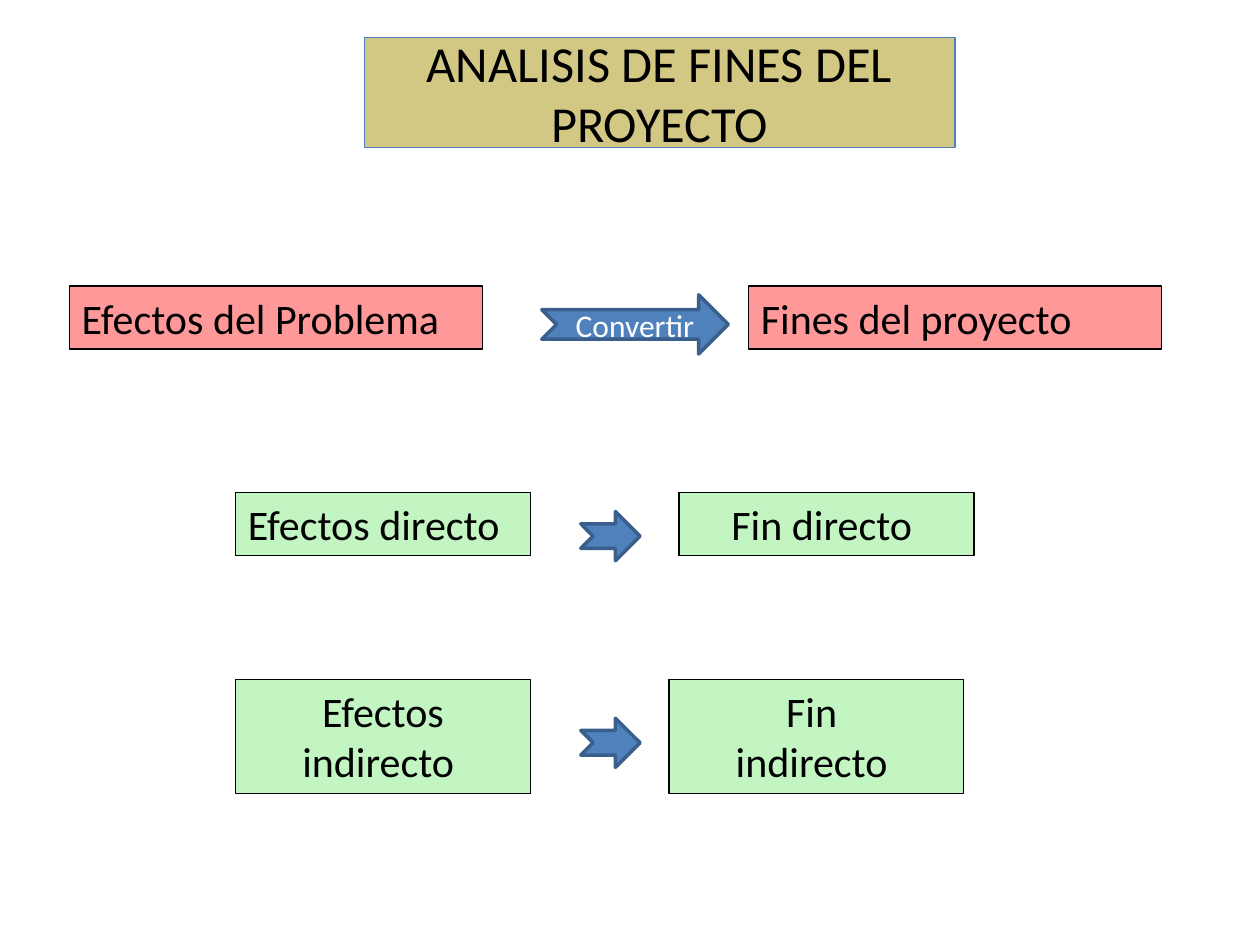
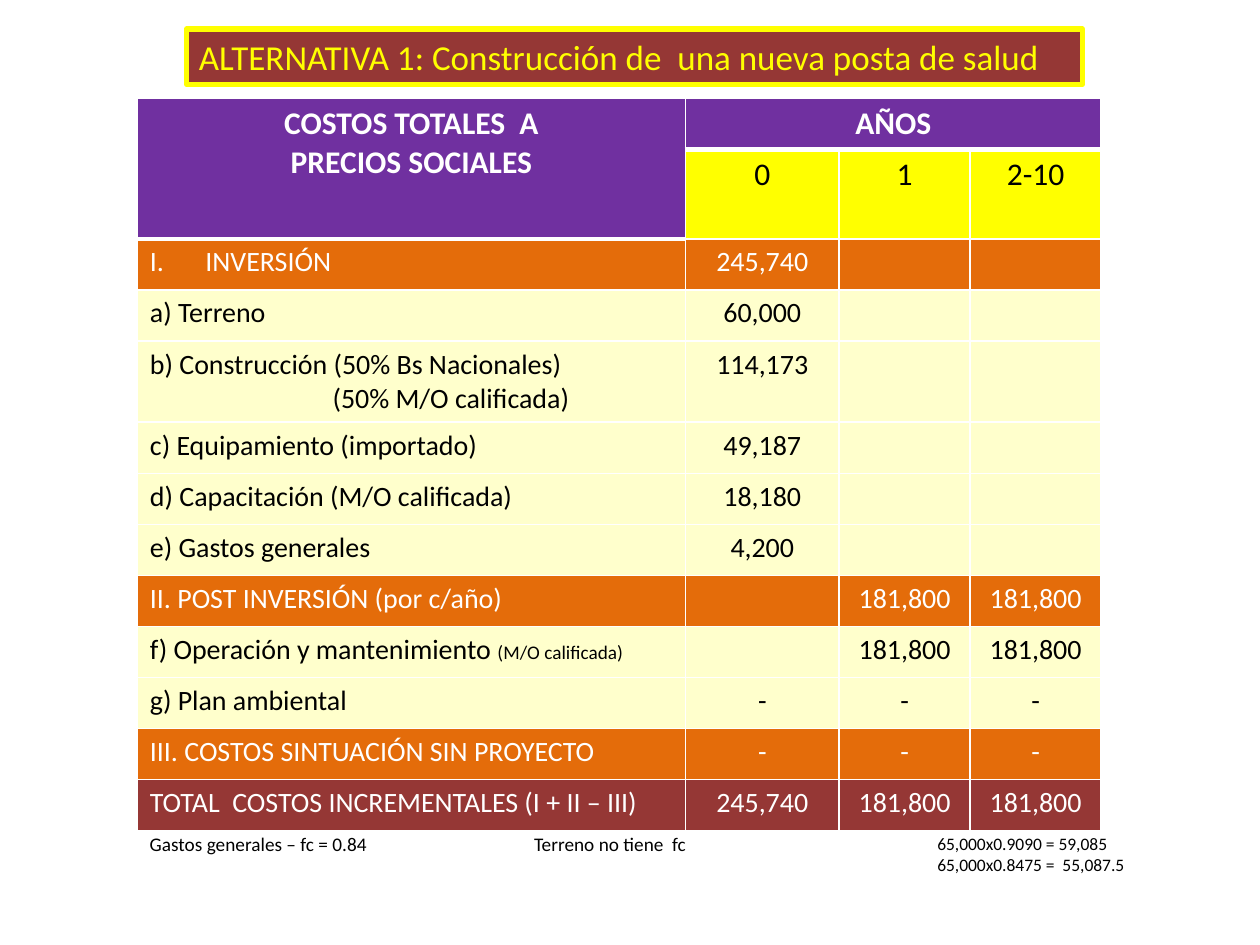
import typing
import pptx
import pptx.dml.color
import pptx.enum.shapes
import pptx.enum.text
import pptx.oxml
import pptx.oxml.ns
import pptx.util

WIDTH, HEIGHT = pptx.util.Inches(10), pptx.util.Inches(7.5)
COLS, ROWS = 100, 75
FONT = "Calibri"
BLACK, WHITE, YELLOW = "000000", "FFFFFF", "FFFF00"
SAND, BLUE, NAVY = "D3C883", "4F81BD", "3A5F8C"
PINK, GREEN = "FF9999", "C3F5C3"
PURPLE, ORANGE, CREAM, WINE = "7030A0", "E46C0A", "FFFFCC", "953735"

SHAPE = pptx.enum.shapes.MSO_SHAPE
ALIGN = pptx.enum.text.PP_ALIGN
ANCHOR = pptx.enum.text.MSO_ANCHOR
LEFT, MID = ALIGN.LEFT, ALIGN.CENTER


class Area(typing.NamedTuple):
    col: float
    row: float
    wide: float
    high: float


class Box(typing.NamedTuple):
    area: Area
    text: str = ""
    fill: str = ""
    line: str = BLACK
    weight: float = 0.75
    size: float = 24
    color: str = BLACK
    align: ALIGN = LEFT
    anchor: ANCHOR = ANCHOR.TOP
    kind: SHAPE = SHAPE.RECTANGLE


class Row(typing.NamedTuple):
    label: str
    costs: tuple
    fill: str = CREAM
    color: str = BLACK
    small: str = ""


def across(cols: float) -> int:
    return round(WIDTH * cols / COLS)


def down(rows: float) -> int:
    return round(HEIGHT * rows / ROWS)


def place(area: Area) -> tuple:
    return across(area.col), down(area.row), across(area.wide), down(area.high)


def paint(code: str) -> pptx.dml.color.RGBColor:
    return pptx.dml.color.RGBColor.from_string(code)


def write(frame, text: str, *, size: float = 16, color: str = BLACK,
          bold: bool = False, align=LEFT, more: bool = False) -> None:
    for i, line in enumerate(text.split("\n")):
        if more or i == 0:
            para = frame.paragraphs[-1]
        else:
            para = frame.add_paragraph()
        para.alignment = align
        run = para.add_run()
        run.text = line
        font = run.font
        font.name, font.size, font.bold = FONT, pptx.util.Pt(size), bold
        font.color.rgb = paint(color)


def draw(slide, box: Box) -> None:
    if box.fill:
        shape = slide.shapes.add_shape(box.kind, *place(box.area))
        shape.shadow.inherit = False
        shape.fill.solid()
        shape.fill.fore_color.rgb = paint(box.fill)
        shape.line.color.rgb = paint(box.line)
        shape.line.width = pptx.util.Pt(box.weight)
    else:
        shape = slide.shapes.add_textbox(*place(box.area))
    frame = shape.text_frame
    frame.word_wrap = True
    frame.vertical_anchor = box.anchor
    if box.text:
        write(frame, box.text, size=box.size, color=box.color, align=box.align)


def arrow(area: Area, text: str = "") -> Box:
    return Box(area, text, BLUE, NAVY, 2, 18, WHITE, MID, ANCHOR.MIDDLE,
               SHAPE.NOTCHED_RIGHT_ARROW)


def edge(cell, base: float = 1) -> None:
    props = cell._tc.get_or_add_tcPr()
    space = pptx.oxml.ns.nsdecls("a")
    for i, side in enumerate("LRTB"):
        width = pptx.util.Pt(base if side == "B" else 1)
        props.insert(i, pptx.oxml.parse_xml(
            f'<a:ln{side} {space} w="{width}"><a:solidFill>'
            f'<a:srgbClr val="{WHITE}"/></a:solidFill></a:ln{side}>'))


def tint(cell, fill: str, base: float = 1) -> None:
    cell.fill.solid()
    cell.fill.fore_color.rgb = paint(fill)
    edge(cell, base)


def indent(para, left: float, first: float = 0, mark: str = "") -> None:
    props = para._p.get_or_add_pPr()
    props.set("marL", str(across(left)))
    props.set("indent", str(across(first)))
    if mark:
        space = pptx.oxml.ns.nsdecls("a")
        props.append(pptx.oxml.parse_xml(f'<a:buAutoNum {space} type="{mark}"/>'))


TOP, PAIR, LAST = 22.7, 39.1, 53.9
FINES = [
    Box(Area(28.9, 3, 46.9, 8.7), "ANALISIS DE FINES DEL PROYECTO", SAND, BLUE,
        size=28.8, align=MID, anchor=ANCHOR.MIDDLE),
    Box(Area(5.5, TOP, 32.8, 5), "Efectos del Problema", PINK),
    Box(Area(59.4, TOP, 32.8, 5), "Fines del proyecto", PINK),
    arrow(Area(43, 23.4, 14.8, 4.7), "Convertir"),
    Box(Area(18.7, PAIR, 23.4, 5), "Efectos directo", GREEN),
    Box(Area(53.9, PAIR, 23.4, 5), "Fin directo ", GREEN, align=MID),
    arrow(Area(46.1, 40.6, 4.7, 3.9)),
    Box(Area(18.7, LAST, 23.4, 9.1), "Efectos indirecto ", GREEN, align=MID),
    Box(Area(53.1, LAST, 23.4, 9.1), "Fin \nindirecto ", GREEN, align=MID),
    arrow(Area(46.1, 57, 4.7, 3.9)),
]

NOTES = [
    Box(Area(14.8, 2.3, 71.1, 4.4),
        "ALTERNATIVA 1: Construcción de  una nueva posta de salud",
        WINE, YELLOW, 3, 20, YELLOW),
    Box(Area(10.9, 65.6, 22.7, 2.9), "Gastos generales – fc = 0.84", size=11),
    Box(Area(41.4, 65.6, 14.8, 2.9), "Terreno no tiene  fc", size=11),
    Box(Area(73.4, 65.6, 17.2, 4.4),
        "65,000x0.9090 = 59,085\n65,000x0.8475 =  55,087.5", size=10),
]

YEARS = ("0", "1", "2-10")
NONE = ("-", "-", "-")
LATER = ("", "181,800", "181,800")
COSTS = [
    Row("INVERSIÓN", ("245,740", "", ""), ORANGE, WHITE),
    Row("a) Terreno", ("60,000", "", "")),
    Row("b) Construcción (50% Bs Nacionales)\n(50% M/O calificada)",
        ("114,173", "", "")),
    Row("c) Equipamiento (importado)", ("49,187", "", "")),
    Row("d) Capacitación (M/O calificada)", ("18,180", "", "")),
    Row("e) Gastos generales", ("4,200", "", "")),
    Row("II. POST INVERSIÓN (por c/año)", LATER, ORANGE, WHITE),
    Row("f) Operación y mantenimiento ", LATER, small="(M/O calificada)"),
    Row("g) Plan ambiental", NONE),
    Row("III. COSTOS SINTUACIÓN SIN PROYECTO", NONE, ORANGE, WHITE),
    Row("TOTAL  COSTOS INCREMENTALES (I + II – III)",
        ("245,740", "181,800", "181,800"), WINE, WHITE),
]
SPANS = (43.5, 12.2, 10.4, 10.4)
STEP = 4.05
TALL = {1: 7.1, 4: 6.4}


def head(table) -> None:
    for cell in table.rows[0].cells:
        tint(cell, PURPLE, 3)
    tint(table.cell(1, 0), PURPLE, 3)
    table.cell(0, 0).merge(table.cell(1, 0))
    table.cell(0, 1).merge(table.cell(0, 3))
    for col, text in enumerate(("COSTOS TOTALES  A\nPRECIOS SOCIALES", "AÑOS")):
        write(table.cell(0, col).text_frame, text, size=18, color=WHITE,
              bold=True, align=MID)
    for col, year in enumerate(YEARS, 1):
        cell = table.cell(1, col)
        tint(cell, YELLOW)
        write(cell.text_frame, year, size=18, align=MID)


def fill_row(table, at: int, row: Row) -> None:
    for col, text in enumerate((row.label, *row.costs)):
        cell = table.cell(at, col)
        tint(cell, row.fill)
        if text:
            write(cell.text_frame, text, color=row.color,
                  align=MID if col else LEFT)
    if row.small:
        write(table.cell(at, 0).text_frame, row.small, size=11, more=True)


def grid(slide) -> None:
    count = len(COSTS) + 2
    highs = [TALL.get(i, STEP) for i in range(count)]
    area = Area(10.9, 7.8, sum(SPANS), sum(highs))
    table = slide.shapes.add_table(count, len(SPANS), *place(area)).table
    table.first_row = table.horz_banding = False
    for col, wide in zip(table.columns, SPANS):
        col.width = across(wide)
    for line, high in zip(table.rows, highs):
        line.height = down(high)
    head(table)
    for at, row in enumerate(COSTS, 2):
        fill_row(table, at, row)
    indent(table.cell(2, 0).text_frame.paragraphs[0], 4.4, -4.4, "romanUcPeriod")
    indent(table.cell(4, 0).text_frame.paragraphs[1], 14.5)


def main() -> None:
    deck = pptx.Presentation()
    deck.slide_width, deck.slide_height = WIDTH, HEIGHT
    blank = deck.slide_layouts[6]
    fines, costs = (deck.slides.add_slide(blank) for _ in range(2))
    grid(costs)
    for slide, boxes in ((fines, FINES), (costs, NOTES)):
        for box in boxes:
            draw(slide, box)
    deck.save("out.pptx")


if __name__ == "__main__":
    main()
